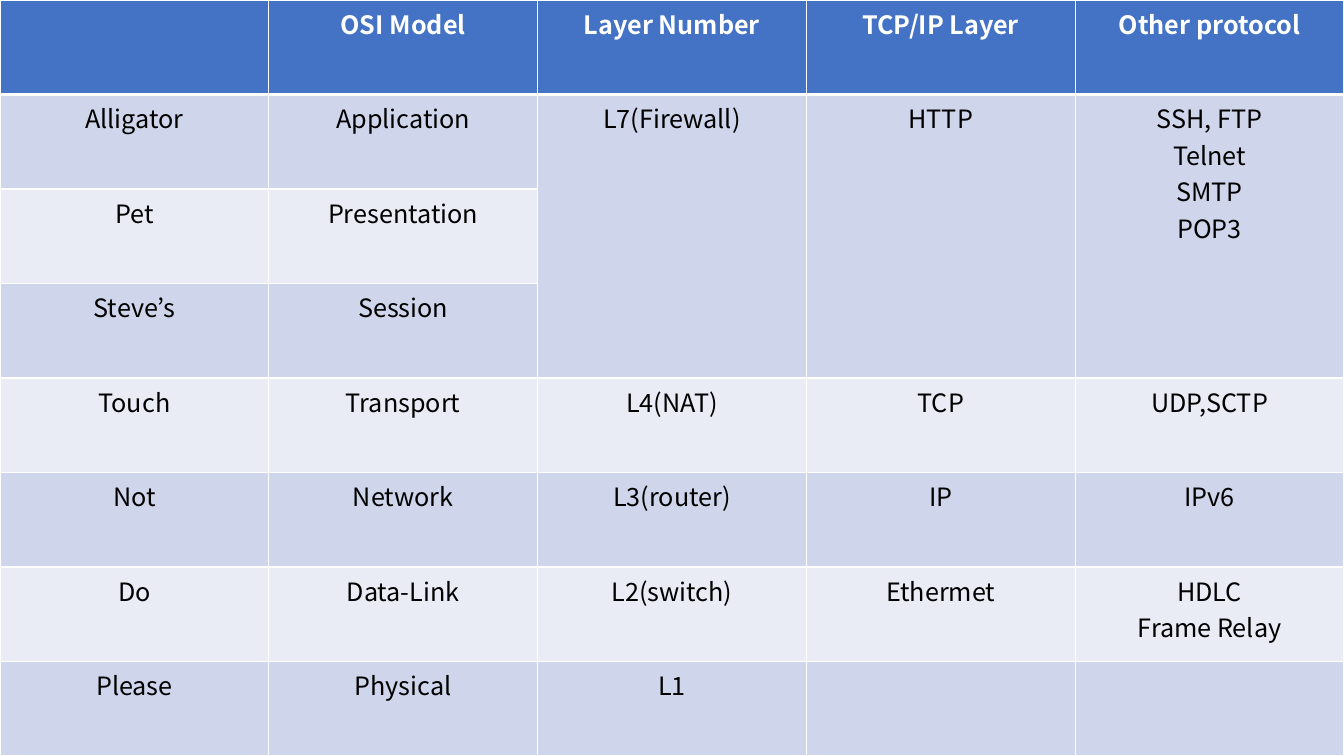
"""Build a slide with a table of the OSI layers and their protocols."""
from dataclasses import dataclass

import pptx
import pptx.dml.color
import pptx.enum.text
import pptx.oxml.ns
import pptx.table
import pptx.util
from lxml import etree

PX = 9525
SLIDE_W, SLIDE_H = 1280, 720
FONT = "Noto Sans CJK KR"
COLORS = {
    "header": "4472C4",
    "odd": "CFD5EA",
    "even": "E9EBF5",
    "border": "FFFFFF",
    "header_text": "FFFFFF",
    "body_text": "000000",
}
APPLICATION_ROWS = (1, 3)


@dataclass(frozen=True)
class Layer:
    mnemonic: str
    osi: str
    number: str = ""
    tcp_ip: str = ""
    other: str = ""

    def texts(self) -> tuple[str, ...]:
        return self.mnemonic, self.osi, self.number, self.tcp_ip, self.other


LAYERS = [
    Layer("", "OSI Model", "Layer Number", "TCP/IP Layer", "Other protocol"),
    Layer("Alligator", "Application", "L7(Firewall)", "HTTP", "SSH, FTP\nTelnet\nSMTP\nPOP3"),
    Layer("Pet", "Presentation"),
    Layer("Steve’s", "Session"),
    Layer("Touch", "Transport", "L4(NAT)", "TCP", "UDP,SCTP"),
    Layer("Not", "Network", "L3(router)", "IP", "IPv6"),
    Layer("Do", "Data-Link", "L2(switch)", "Ethermet", "HDLC\nFrame Relay"),
    Layer("Please", "Physical", "L1"),
]


def px(value: int) -> pptx.util.Emu:
    return pptx.util.Emu(value * PX)


def rgb(name: str) -> pptx.dml.color.RGBColor:
    return pptx.dml.color.RGBColor.from_string(COLORS[name])


def add_borders(cell: pptx.table._Cell, top: int, bottom: int) -> None:
    qn = pptx.oxml.ns.qn
    tcPr = cell._tc.get_or_add_tcPr()
    for side, width in (("L", 1), ("R", 1), ("T", top), ("B", bottom)):
        ln = etree.SubElement(tcPr, qn(f"a:ln{side}"), w=str(pptx.util.Pt(width)))
        fill = etree.SubElement(ln, qn("a:solidFill"))
        etree.SubElement(fill, qn("a:srgbClr"), val=COLORS["border"])


def add_text(cell: pptx.table._Cell, text: str, is_header: bool) -> None:
    tf = cell.text_frame
    for i, line in enumerate(text.split("\n")):
        p = tf.add_paragraph() if i else tf.paragraphs[0]
        p.alignment = pptx.enum.text.PP_ALIGN.CENTER
        if not line:
            continue
        r = p.add_run()
        r.text = line
        r.font.name = FONT
        r.font.size = pptx.util.Pt(18)
        r.font.bold = is_header
        r.font.color.rgb = rgb("header_text" if is_header else "body_text")


def draw_row(table: pptx.table.Table, row: int, layer: Layer) -> None:
    in_merge = APPLICATION_ROWS[0] <= row <= APPLICATION_ROWS[1]
    for col, text in enumerate(layer.texts()):
        cell = table.cell(row, col)
        add_borders(cell, 3 if row == 1 else 1, 3 if row == 0 else 1)
        is_odd = row % 2 == 1 or (in_merge and col >= 2)
        cell.fill.solid()
        cell.fill.fore_color.rgb = rgb("header" if row == 0 else "odd" if is_odd else "even")
        add_text(cell, text, row == 0)


def main() -> None:
    prs = pptx.Presentation()
    prs.slide_width, prs.slide_height = px(SLIDE_W), px(SLIDE_H)
    s = prs.slides.add_slide(prs.slide_layouts[6])
    columns = len(LAYERS[0].texts())
    table = s.shapes.add_table(
        len(LAYERS), columns, px(0), px(0), px(SLIDE_W), px(SLIDE_H)
    ).table
    for row, layer in enumerate(LAYERS):
        draw_row(table, row, layer)
    first, last = APPLICATION_ROWS
    for col in range(2, columns):
        table.cell(first, col).merge(table.cell(last, col))
    prs.save("out.pptx")


if __name__ == "__main__":
    main()
